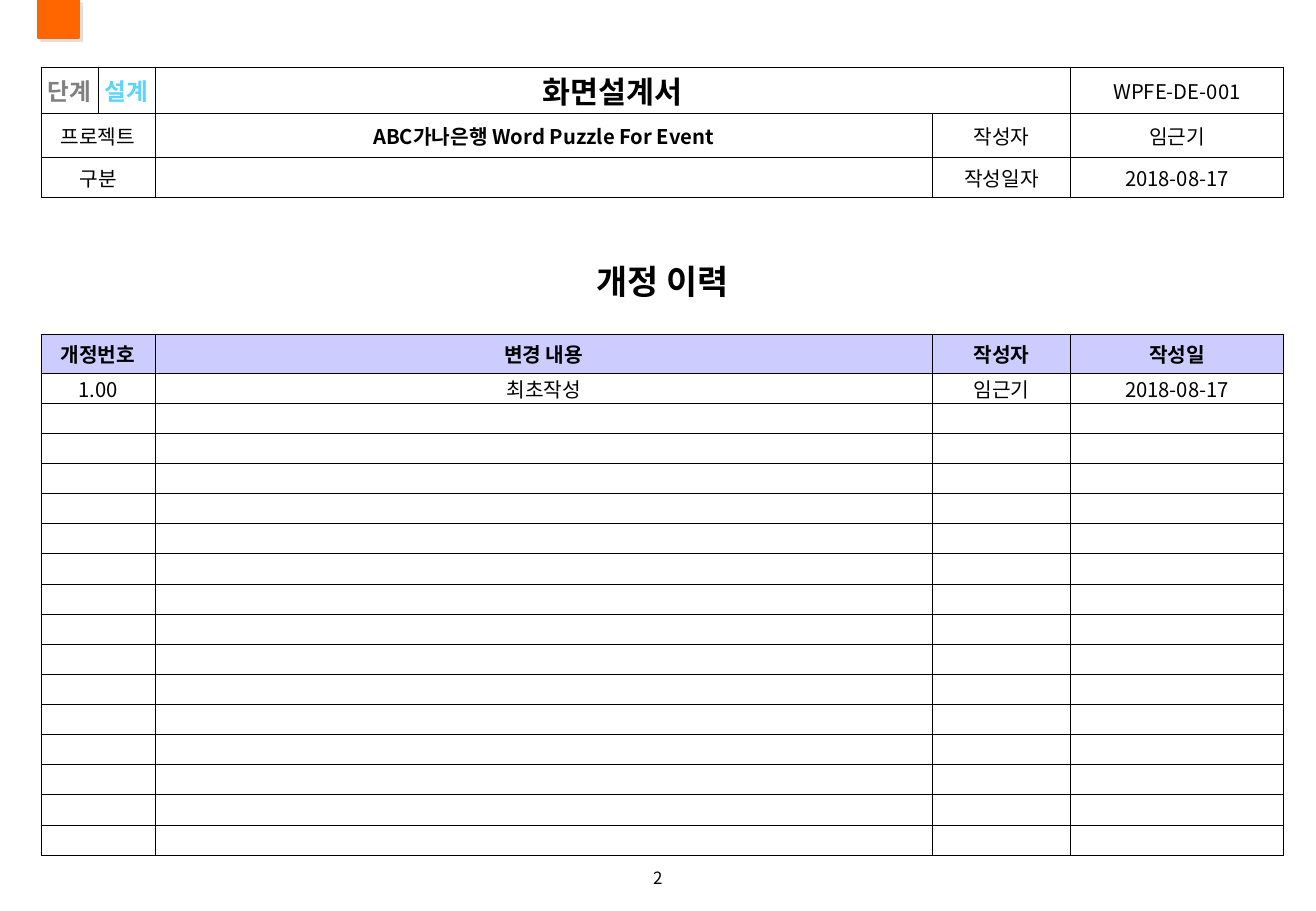
from dataclasses import dataclass

from lxml import etree
from pptx import Presentation
from pptx import util as u
from pptx.dml.color import RGBColor
from pptx.enum import shapes, text
from pptx.oxml import ns
from pptx.table import Table, _Cell

FONT = "Noto Sans CJK KR"
BLACK = RGBColor(0x00, 0x00, 0x00)
WHITE = RGBColor(0xFF, 0xFF, 0xFF)
GRAY = RGBColor(0x80, 0x80, 0x80)
SKY = RGBColor(0x5D, 0xD4, 0xFF)
LAVENDER = RGBColor(0xCC, 0xCC, 0xFF)
ORANGE = RGBColor(0xFF, 0x66, 0x00)
SHADOW_GRAY = RGBColor(0xC0, 0xC0, 0xC0)

MIDDLE = text.MSO_ANCHOR.MIDDLE
BOTTOM = text.MSO_ANCHOR.BOTTOM
COLUMNS = [1.19, 1.19, 6.03, 10.22, 2.89, 4.45]
BLANK_ROWS = 15
GAP_ABOVE, TITLE_ROW, GAP_BELOW, HEADING_ROW, FIRST_REVISION = range(3, 8)
ROWS = [0.98, 0.92, 0.83, 1.19, 1.04, 0.63, 0.81] + [0.63] * (1 + BLANK_ROWS)
EDGES = {
    GAP_ABOVE: "T",
    TITLE_ROW: "",
    GAP_BELOW: "B",
}


@dataclass(frozen=True)
class Entry:
    row: int
    column: int
    wording: str
    size: int = 12
    bold: bool = False
    color: RGBColor = BLACK
    anchor: text.MSO_ANCHOR = MIDDLE


ENTRIES = [
    Entry(0, 0, "단계", 14, True, GRAY),
    Entry(0, 1, "설계", 14, True, SKY),
    Entry(0, 2, "화면설계서", 18, True),
    Entry(0, 5, "WPFE-DE-001"),
    Entry(1, 0, "프로젝트"),
    Entry(1, 2, "ABC가나은행 Word Puzzle For Event", bold=True),
    Entry(1, 4, "작성자"),
    Entry(1, 5, "임근기"),
    Entry(2, 0, "구분"),
    Entry(2, 4, "작성일자"),
    Entry(2, 5, "2018-08-17"),
    Entry(TITLE_ROW, 0, "개정 이력", 20, True, anchor=BOTTOM),
    Entry(HEADING_ROW, 0, "개정번호", bold=True),
    Entry(HEADING_ROW, 2, "변경 내용", bold=True),
    Entry(HEADING_ROW, 4, "작성자", bold=True),
    Entry(HEADING_ROW, 5, "작성일", bold=True),
    Entry(FIRST_REVISION, 0, "1.00", anchor=BOTTOM),
    Entry(FIRST_REVISION, 2, "최초작성", anchor=BOTTOM),
    Entry(FIRST_REVISION, 4, "임근기", anchor=BOTTOM),
    Entry(FIRST_REVISION, 5, "2018-08-17", anchor=BOTTOM),
]


def add(parent: etree._Element, tag: str, **attributes: str) -> etree._Element:
    return etree.SubElement(parent, ns.qn(f"a:{tag}"), attributes)


def write(frame, wording: str, size: int, bold: bool, color: RGBColor) -> None:
    paragraph = frame.paragraphs[0]
    paragraph.text = wording
    paragraph.alignment = text.PP_ALIGN.CENTER
    paragraph.font.size = u.Pt(size)
    paragraph.font.bold = bold
    paragraph.font.color.rgb = color
    paragraph.font.name = FONT
    add(paragraph._p.pPr.find(ns.qn("a:defRPr")), "ea", typeface=FONT)


def style_cell(cell: _Cell, edges: str, fill: RGBColor) -> None:
    cell.margin_left = cell.margin_right = 0
    cell.margin_top = cell.margin_bottom = 0
    properties = cell._tc.get_or_add_tcPr()
    for side in "LRTB":
        border = add(properties, f"ln{side}", w=str(u.Pt(0.5)))
        if side in edges:
            add(add(border, "solidFill"), "srgbClr", val=str(BLACK))
        else:
            add(border, "noFill")
    cell.fill.solid()
    cell.fill.fore_color.rgb = fill
    add(cell.text_frame.paragraphs[0]._p, "endParaRPr", sz="800")


def merge_columns(history: Table, row: int) -> None:
    if row == 0:
        spans = [(2, 4)]
    elif row == TITLE_ROW:
        spans = [(0, 5)]
    elif row in EDGES:
        spans = [(0, 1)]
    else:
        spans = [(0, 1), (2, 3)]
    for first, last in spans:
        history.cell(row, first).merge(history.cell(row, last))


def add_history(slide) -> None:
    frame = slide.shapes.add_table(
        len(ROWS), len(COLUMNS), u.Cm(0.86), u.Cm(1.4),
        u.Cm(sum(COLUMNS)), u.Cm(sum(ROWS)))
    history = frame.table
    history.first_row = history.horz_banding = False
    for column, width in zip(history.columns, COLUMNS):
        column.width = u.Cm(width)
    for index, height in enumerate(ROWS):
        history.rows[index].height = u.Cm(height)
        fill = LAVENDER if index == HEADING_ROW else WHITE
        for cell in history.rows[index].cells:
            style_cell(cell, EDGES.get(index, "LRTB"), fill)
        merge_columns(history, index)
    for entry in ENTRIES:
        cell = history.cell(entry.row, entry.column)
        cell.vertical_anchor = entry.anchor
        write(cell.text_frame, entry.wording, entry.size, entry.bold, entry.color)


def add_corner_mark(slide) -> None:
    mark = slide.shapes.add_shape(
        shapes.MSO_SHAPE.RECTANGLE, u.Cm(0.79), 0, u.Cm(0.86), u.Cm(0.79))
    mark.fill.solid()
    mark.fill.fore_color.rgb = ORANGE
    mark.line.color.rgb = ORANGE
    mark.line.width = u.Pt(1)
    mark.shadow.inherit = False
    effects = mark._element.spPr.find(ns.qn("a:effectLst"))
    shadow = add(effects, "outerShdw", dist=str(u.Pt(2.8)), dir="2700000",
                 algn="ctr", rotWithShape="0")
    add(add(shadow, "srgbClr", val=str(SHADOW_GRAY)), "alpha", val="50000")


def add_page_number(slide) -> None:
    number = slide.shapes.add_textbox(u.Cm(12.95), u.Cm(18.08), u.Cm(1.6), u.Cm(0.56))
    frame = number.text_frame
    frame.word_wrap = True
    frame.vertical_anchor = MIDDLE
    frame.margin_top = frame.margin_bottom = 0
    write(frame, "2", 10, False, BLACK)


deck = Presentation()
deck.slide_width = u.Cm(27.51)
deck.slide_height = u.Cm(19.05)
revision_slide = deck.slides.add_slide(deck.slide_layouts[6])
add_page_number(revision_slide)
add_corner_mark(revision_slide)
add_history(revision_slide)
deck.save("out.pptx")
